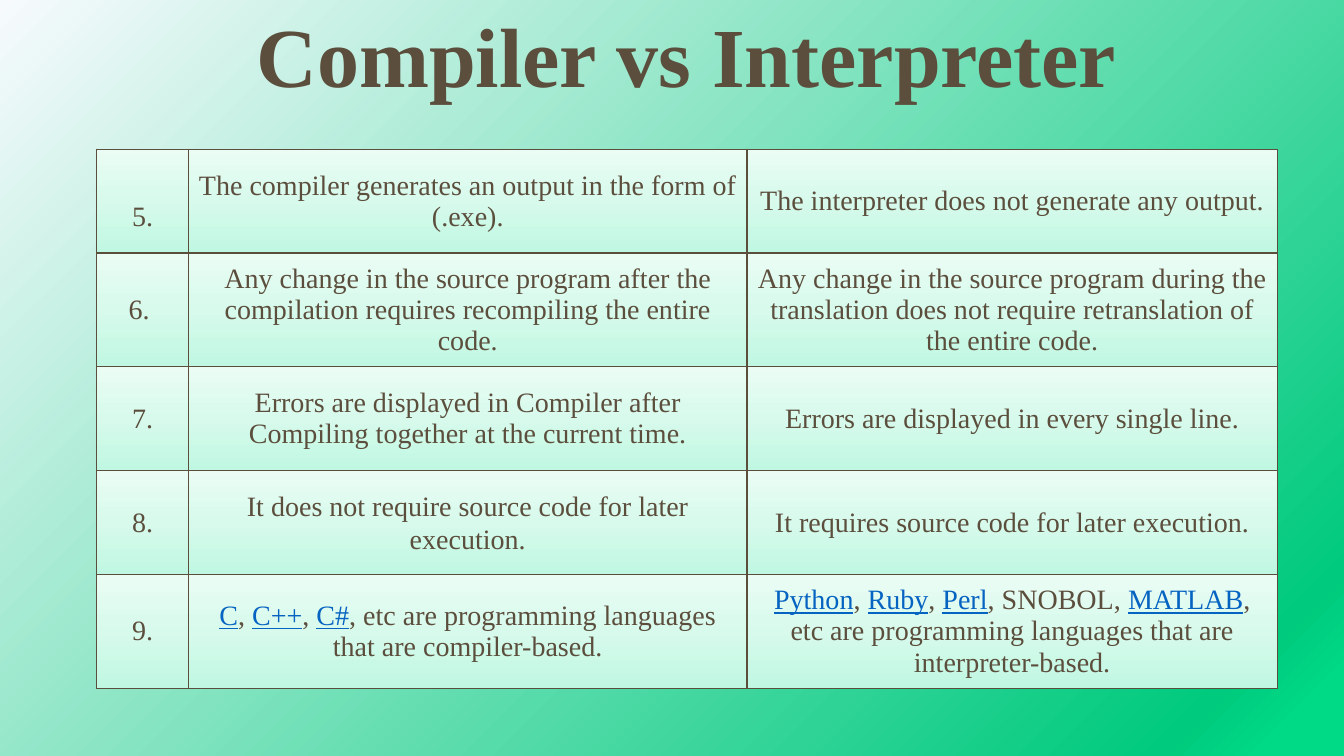
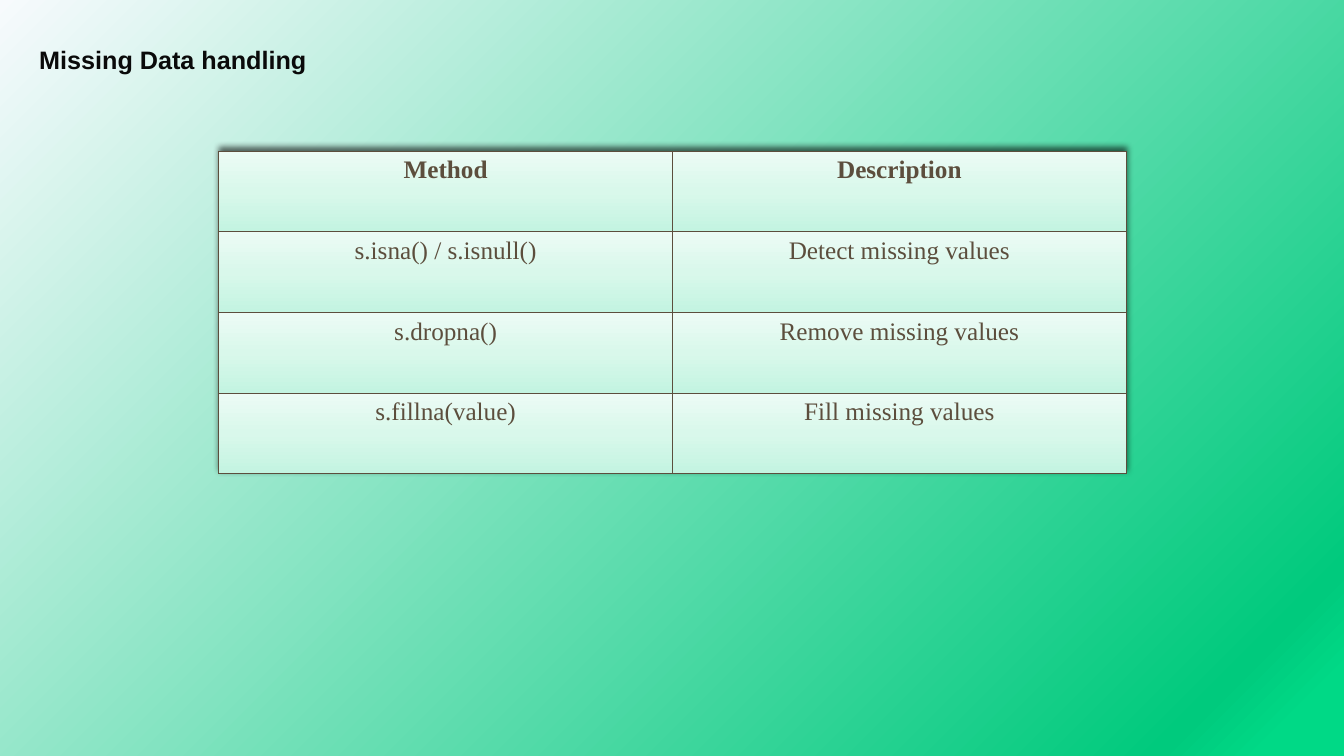
"""Build two slides of tables: compiler versus interpreter, and missing data methods."""
from lxml import etree
from pptx import Presentation
from pptx.dml.color import RGBColor
from pptx.enum.text import MSO_ANCHOR, MSO_AUTO_SIZE, PP_ALIGN
from pptx.oxml import parse_xml
from pptx.oxml.ns import nsdecls, qn
from pptx.util import Inches, Pt

LEFT, CENTER = PP_ALIGN.LEFT, PP_ALIGN.CENTER
TOP, MIDDLE, BOTTOM = MSO_ANCHOR.TOP, MSO_ANCHOR.MIDDLE, MSO_ANCHOR.BOTTOM
FIT_SHAPE = MSO_AUTO_SIZE.SHAPE_TO_FIT_TEXT

SERIF, SANS = "Times New Roman", "Arial"
BROWN, LINK_BLUE, NEAR_BLACK = "5C4E3D", "0563C1", "0A0A0A"
BACKGROUND = [(0, "F7FAFD"), (91, "00CA7D"), (96, "00D986"), (100, "00D986")]
COMPARISON_FILL = [(0, "C0F7E2"), (50, "D7FAEC"), (100, "EBFCF5")]
METHOD_FILL = [(0, "C3F4E1"), (50, "D9F8EB"), (100, "ECFBF5")]
DIAGONAL, UPWARD = 45, 270

LINKED_TERMS = {"C", "C++", "C#", "Python", "Ruby", "Perl", "MATLAB"}
COMPARISON = [
    ["5.", "The compiler generates an output in the form of (.exe).",
     "The interpreter does not generate any output."],
    ["6. ", "Any change in the source program after the compilation requires "
     "recompiling the entire code.",
     "Any change in the source program during the translation does not require "
     "retranslation of the entire code."],
    ["7.", "Errors are displayed in Compiler after Compiling together at the current time.",
     "Errors are displayed in every single line."],
    ["8.", "It does not require source code for later execution.",
     "It requires source code for later execution."],
    ["9.", ["C", ", ", "C++", ", ", "C#",
            ", etc are programming languages that are compiler-based."],
     ["Python", ", ", "Ruby", ", ", "Perl", ", SNOBOL, ", "MATLAB",
      ", etc are programming languages that are interpreter-based."]],
]
METHODS = [
    ["Method", "Description"],
    ["s.isna() / s.isnull()", "Detect missing values"],
    ["s.dropna()", "Remove missing values"],
    ["s.fillna(value)", "Fill missing values"],
]


def rgb(color):
    return RGBColor.from_string(color)


def gradient(stops, angle):
    marks = "".join(
        f'<a:gs pos="{position * 1000}"><a:srgbClr val="{color}"/></a:gs>'
        for position, color in stops)
    return parse_xml(
        f'<a:gradFill {nsdecls("a")} rotWithShape="1"><a:gsLst>{marks}</a:gsLst>'
        f'<a:lin ang="{angle * 60000}" scaled="0"/></a:gradFill>')


def write_text(frame, text, size=20, font=SERIF, color=BROWN, bold=False,
               align=CENTER, line_spacing=None, space_after=None):
    paragraph = frame.paragraphs[0]
    paragraph.alignment = align
    paragraph.line_spacing = line_spacing
    paragraph.space_after = space_after
    for part in [text] if isinstance(text, str) else text:
        linked = part in LINKED_TERMS
        run = paragraph.add_run()
        run.text = part
        run.font.size = Pt(size)
        run.font.name = font
        run.font.bold = bold
        run.font.underline = linked
        run.font.color.rgb = rgb(LINK_BLUE if linked else color)


def add_label(slide, box, text, anchor=TOP, wrap=True, **text_format):
    frame = slide.shapes.add_textbox(*map(Inches, box)).text_frame
    frame.word_wrap = wrap
    frame.vertical_anchor = anchor
    if not wrap:
        frame.auto_size = FIT_SHAPE
    write_text(frame, text, **text_format)


def style_cell(cell, stops, anchor):
    cell.vertical_anchor = anchor
    properties = cell._tc.get_or_add_tcPr()
    for side in ("lnL", "lnR", "lnT", "lnB"):
        properties.append(parse_xml(
            f'<a:{side} {nsdecls("a")} w="{Pt(1)}"><a:solidFill>'
            f'<a:srgbClr val="{BROWN}"/></a:solidFill></a:{side}>'))
    properties.append(gradient(stops, UPWARD))


def add_grid(slide, left, top, widths, heights, rows, stops, anchor, size, header=False):
    table = slide.shapes.add_table(
        len(rows), len(widths), Inches(left), Inches(top),
        Inches(sum(widths)), Inches(sum(heights))).table
    table.first_row = header
    table.horz_banding = False
    for column, width in zip(table.columns, widths):
        column.width = Inches(width)
    for row_index, (row, height, texts) in enumerate(zip(table.rows, heights, rows)):
        row.height = Inches(height)
        for cell, text in zip(row.cells, texts):
            style_cell(cell, stops, anchor)
            write_text(cell.text_frame, text, size=size, bold=header and row_index == 0)
    return table


def add_table_shadow(table):
    effects = etree.Element(qn("a:effectLst"))
    shadow = etree.SubElement(effects, qn("a:outerShdw"), blurRad=str(Pt(4)),
                              dist=str(Pt(3)), dir="16200000", rotWithShape="0")
    black = etree.SubElement(shadow, qn("a:srgbClr"), val="000000")
    etree.SubElement(black, qn("a:alpha"), val="60000")
    table._tbl.tblPr.insert(0, effects)


def build_comparison(slide):
    add_label(slide, (1.81, 0, 10, 1.1), "Compiler vs Interpreter", anchor=BOTTOM,
              size=60, bold=True, line_spacing=0.9)
    table = add_grid(slide, 0.96, 1.48, [0.91, 5.54, 5.26], [1.03, 1.13, 1.03, 1.03, 1.13],
                     COMPARISON, COMPARISON_FILL, MIDDLE, 20)
    table.cell(0, 0).margin_top = Inches(0.36)
    source_cell = table.cell(3, 1)
    source_cell.margin_left = source_cell.margin_right = Inches(0.03)
    source_cell.margin_top = source_cell.margin_bottom = Inches(0.03)
    paragraph = source_cell.text_frame.paragraphs[0]
    paragraph.line_spacing = 1.07
    paragraph.space_after = Pt(8)


def build_methods(slide):
    table = add_grid(slide, 2.17, 1.5, [4.5] * 2, [0.8] * 4,
                     METHODS, METHOD_FILL, TOP, 18, header=True)
    add_table_shadow(table)
    add_label(slide, (0.29, 0.44, 2.95, 0.35), "Missing Data handling", wrap=False, size=18,
              font=SANS, color=NEAR_BLACK, bold=True, align=LEFT, line_spacing=Pt(18))


def main():
    presentation = Presentation()
    presentation.slide_width, presentation.slide_height = Inches(13.33), Inches(7.5)
    master = presentation.slide_master
    master.background.fill.gradient()
    old_fill = next(master.element.iter(qn("a:gradFill")))
    old_fill.getparent().replace(old_fill, gradient(BACKGROUND, DIAGONAL))
    blank = presentation.slide_layouts[6]
    for build in (build_comparison, build_methods):
        build(presentation.slides.add_slide(blank))
    presentation.save("out.pptx")


if __name__ == "__main__":
    main()
